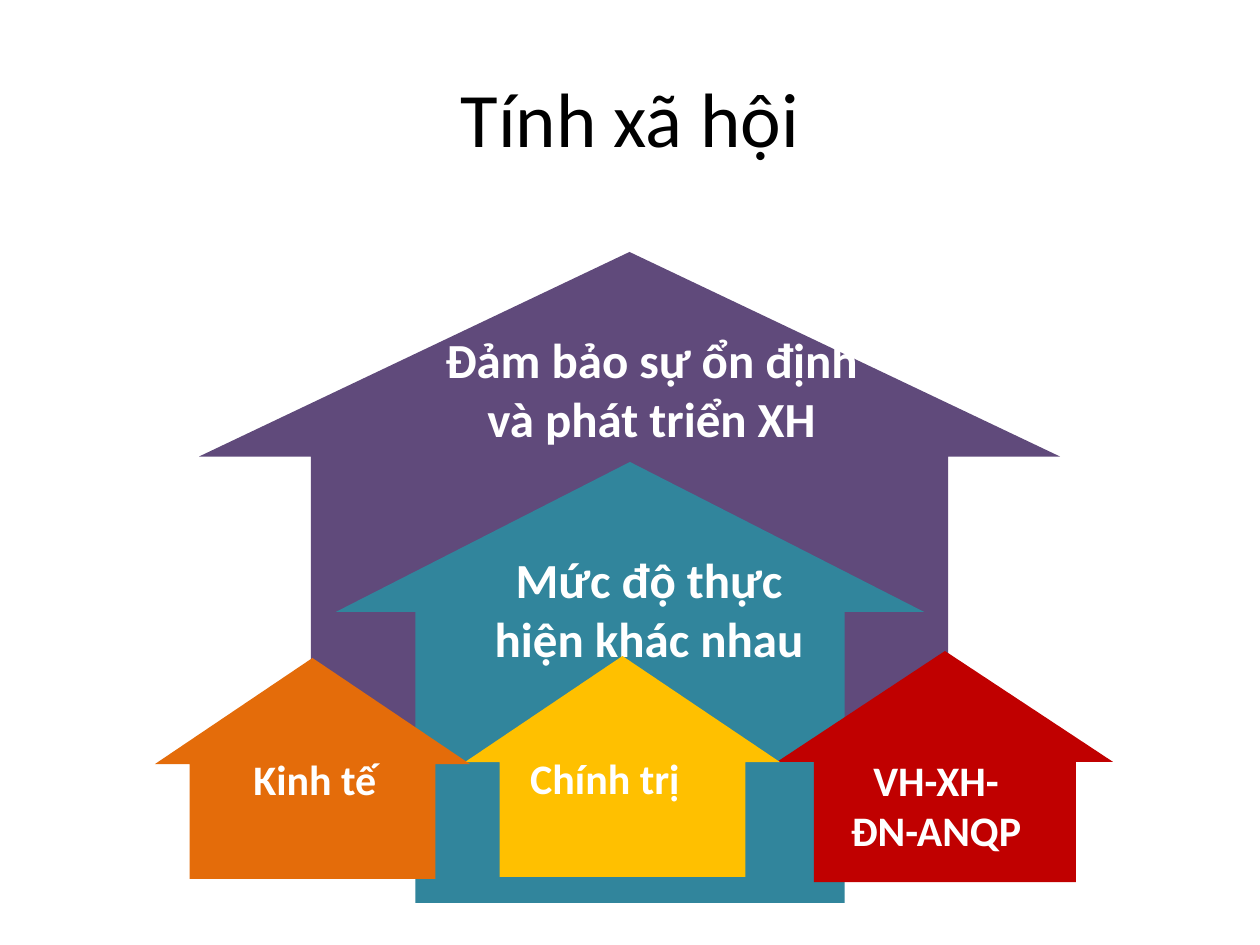
"""Build the "Tính xã hội" slide: nested up arrows with labels."""
import pptx
import pptx.util
from pptx.dml.color import RGBColor
from pptx.enum.shapes import MSO_SHAPE
from pptx.enum.text import MSO_ANCHOR, PP_ALIGN

PX = 914400 / 126
FONT = "Calibri"
BLACK = RGBColor(0x00, 0x00, 0x00)
WHITE = RGBColor(0xFF, 0xFF, 0xFF)
PURPLE = RGBColor(0x60, 0x4A, 0x7B)
TEAL = RGBColor(0x31, 0x85, 0x9C)
RED = RGBColor(0xC0, 0x00, 0x00)
YELLOW = RGBColor(0xFF, 0xC0, 0x00)
ORANGE = RGBColor(0xE4, 0x6C, 0x0A)

TITLE = ("Tính xã hội", (63, 38, 1134, 158))
SMALL_HOUSE = (0.78, 0.48)
LAYERS = [
    ("arrow", (199, 252, 861, 620), PURPLE, (0.74, 0.33)),
    ("arrow", (336, 462, 588, 441), TEAL, (0.73, 0.34)),
    ("label", (465, 543, 368, 131), "Mức độ thực hiện khác nhau", 28),
    ("label", (431, 323, 441, 131), "Đảm bảo sự ổn định và phát triển XH", 28),
    ("arrow", (777, 651, 336, 231), RED, SMALL_HOUSE),
    ("arrow", (465, 656, 315, 221), YELLOW, SMALL_HOUSE),
    ("label", (517, 746, 176, 63), "Chính trị", 24),
    ("label", (832, 748, 208, 115), "VH-XH-ĐN-ANQP", 24),
    ("arrow", (155, 658, 315, 221), ORANGE, SMALL_HOUSE),
    ("label", (208, 747, 214, 63), "Kinh tế", 24),
]


def emu(lengths):
    return [pptx.util.Emu(round(length * PX)) for length in lengths]


def write(shape, text, size, color, bold=False):
    shape.text_frame.word_wrap = True
    paragraph = shape.text_frame.paragraphs[0]
    paragraph.text = text
    paragraph.alignment = PP_ALIGN.CENTER
    font = paragraph.font
    font.name, font.size, font.bold = FONT, pptx.util.Pt(size), bold
    font.color.rgb = color


def add_arrow(slide, place, color, adjustments):
    arrow = slide.shapes.add_shape(MSO_SHAPE.UP_ARROW, *emu(place))
    arrow.shadow.inherit = False
    arrow.fill.solid()
    arrow.fill.fore_color.rgb = color
    arrow.line.fill.background()
    for index, value in enumerate(adjustments):
        arrow.adjustments[index] = value


def add_label(slide, place, text, size):
    write(slide.shapes.add_textbox(*emu(place)), text, size, WHITE, bold=True)


def main():
    deck = pptx.Presentation()
    deck.slide_width, deck.slide_height = emu((1260, 945))
    slide = deck.slides.add_slide(deck.slide_layouts[5])

    text, place = TITLE
    title = slide.shapes.title
    title.left, title.top, title.width, title.height = emu(place)
    title.text_frame.vertical_anchor = MSO_ANCHOR.MIDDLE
    write(title, text, 44, BLACK)

    builders = {"arrow": add_arrow, "label": add_label}
    for kind, *details in LAYERS:
        builders[kind](slide, *details)
    deck.save("out.pptx")


if __name__ == "__main__":
    main()
